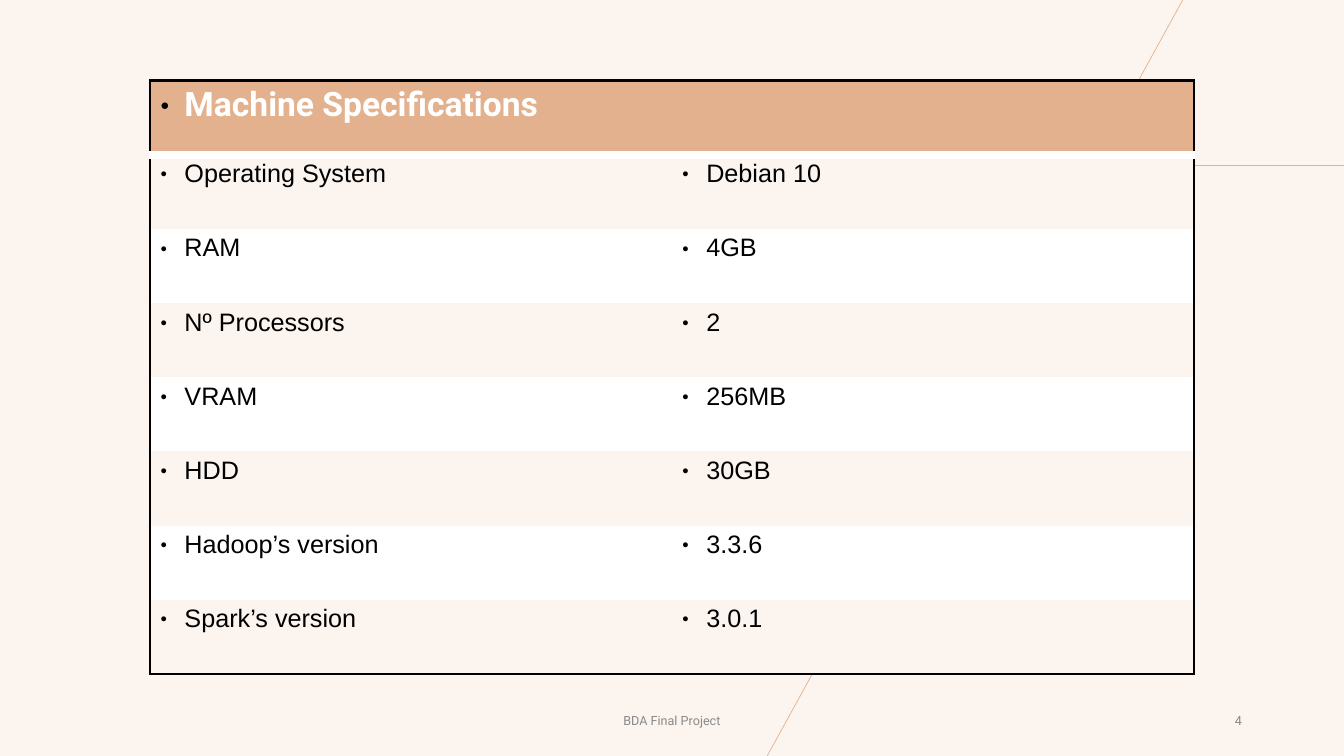
from lxml import etree
from pptx import Presentation
from pptx.dml.color import RGBColor
from pptx.enum import shapes, text
from pptx.oxml import ns
from pptx.util import Pt

TITLE = "Machine Specifications"
SPECS = [
    ("Operating System", "Debian 10"),
    ("RAM", "4GB"),
    ("Nº Processors", "2"),
    ("VRAM", "256MB"),
    ("HDD", "30GB"),
    ("Hadoop’s version", "3.3.6"),
    ("Spark’s version", "3.0.1"),
]
FOOTERS = [
    ("BDA Final Project", 411.12, 137.52, text.PP_ALIGN.CENTER),
    ("4", 678.24, 216, text.PP_ALIGN.RIGHT),
]
RULES = [(716.4, 118.08, 960, 118.08), (846, -2.16, 547.2, 541.44)]
HEX = {"cream": "FBF4EF", "peach": "E3B18D", "white": "FFFFFF",
       "black": "000000", "gray": "898989"}
LEFT, TOP, COL, ROW = 107.28, 57.6, 372.75, 53
FRAME, BAND, INDENT = 1.98, 6, 17.28


def color(name):
    return RGBColor.from_string(HEX[name])


def add(parent, tag, **attrs):
    return etree.SubElement(parent, ns.qn(tag), attrs)


def write(para, words, font, size, tint, bold=False):
    run = para.add_run()
    run.text = words
    run.font.name = font
    run.font.size = Pt(size)
    run.font.bold = bold
    run.font.color.rgb = color(tint)


def bullet(para):
    props = para._p.get_or_add_pPr()
    props.set("marL", str(Pt(INDENT)))
    props.set("indent", str(-Pt(INDENT)))
    add(add(props, "a:buClr"), "a:srgbClr", val=HEX["black"])
    add(props, "a:buSzPct", val="45000")
    add(props, "a:buFont", typeface="Arial")
    add(props, "a:buChar", char="●")


def border(cell, sides):
    props = cell._tc.get_or_add_tcPr()
    for side in "LRTB":
        tint, width = sides.get(side, (None, 0))
        line = add(props, f"a:ln{side}", w=str(Pt(width)))
        if tint:
            add(add(line, "a:solidFill"), "a:srgbClr", val=HEX[tint])
        else:
            add(line, "a:noFill")


def edges(row, col):
    black, white = ("black", FRAME), ("white", BAND)
    sides = {}
    if col == 0:
        sides["L"] = black
    if col == 1 or row == 0:
        sides["R"] = black
    if row == 0:
        sides.update(T=black, B=white)
    if row == 1:
        sides["T"] = white
    if row == len(SPECS):
        sides["B"] = black
    return sides


def draw_rules(slide):
    for ends in RULES:
        line = slide.shapes.add_connector(
            shapes.MSO_CONNECTOR.STRAIGHT, *map(Pt, ends))
        line.line.color.rgb = color("peach")
        line.line.width = Pt(0.5)
        add(line._element.spPr, "a:effectLst")


def draw_table(slide):
    count = len(SPECS) + 1
    table = slide.shapes.add_table(
        count, 2, Pt(LEFT), Pt(TOP), Pt(2 * COL), Pt(count * ROW)).table
    table.first_row = table.horz_banding = False
    for col in table.columns:
        col.width = Pt(COL)
    for row, words in enumerate([(TITLE, "")] + SPECS):
        table.rows[row].height = Pt(ROW)
        fill = "peach" if row == 0 else "cream" if row % 2 else "white"
        for col, label in enumerate(words):
            cell = table.cell(row, col)
            border(cell, edges(row, col))
            cell.fill.solid()
            cell.fill.fore_color.rgb = color(fill)
            if label:
                para = cell.text_frame.paragraphs[0]
                bullet(para)
                style = ("Arial", 18, "black") if row else ("Roboto", 24, "white", True)
                write(para, label, *style)
    table.cell(0, 0).merge(table.cell(0, 1))


def draw_footers(slide):
    for words, left, width, align in FOOTERS:
        frame = slide.shapes.add_textbox(
            Pt(left), Pt(500.4), Pt(width), Pt(28.8)).text_frame
        frame.word_wrap = True
        frame.vertical_anchor = text.MSO_ANCHOR.MIDDLE
        para = frame.paragraphs[0]
        para.alignment = align
        write(para, words, "Roboto", 9, "gray")


def main():
    deck = Presentation()
    deck.slide_width, deck.slide_height = Pt(960), Pt(540)
    slide = deck.slides.add_slide(deck.slide_layouts[6])
    slide.background.fill.solid()
    slide.background.fill.fore_color.rgb = color("cream")
    draw_rules(slide)
    draw_table(slide)
    draw_footers(slide)
    deck.save("out.pptx")


if __name__ == "__main__":
    main()
